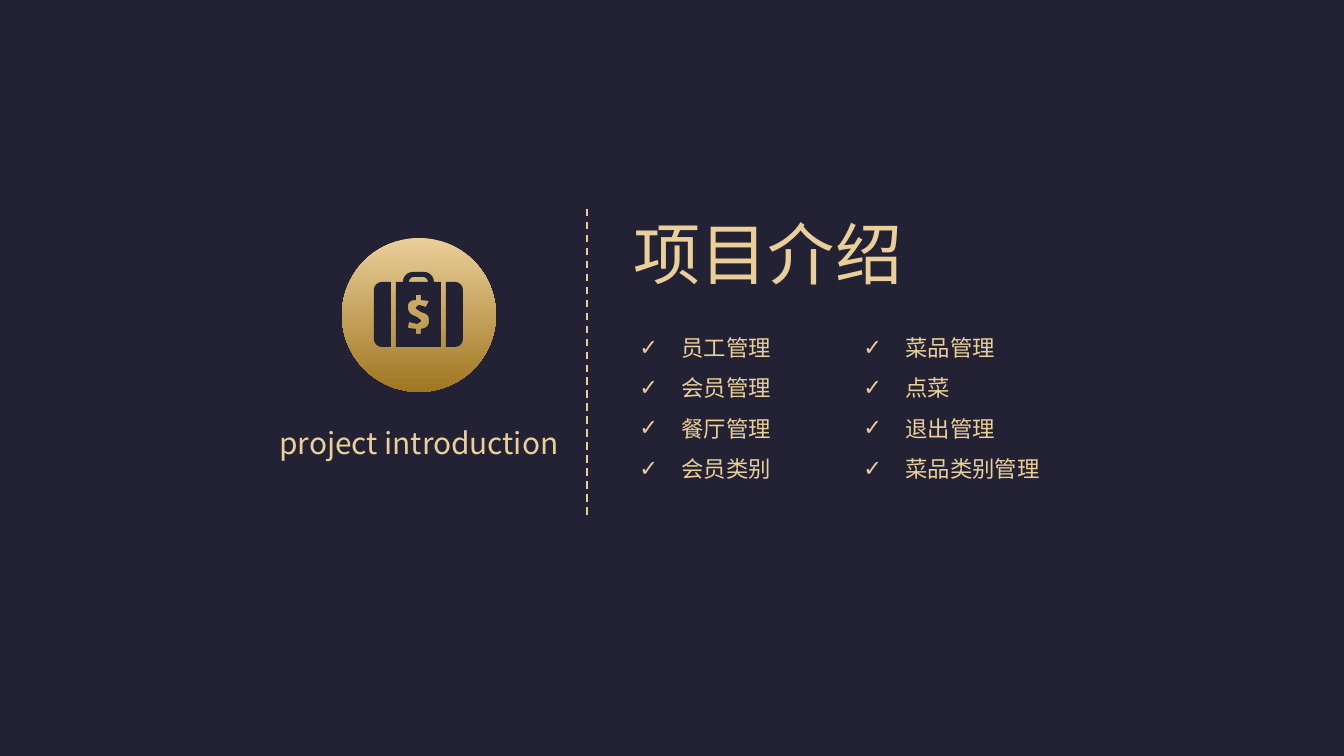
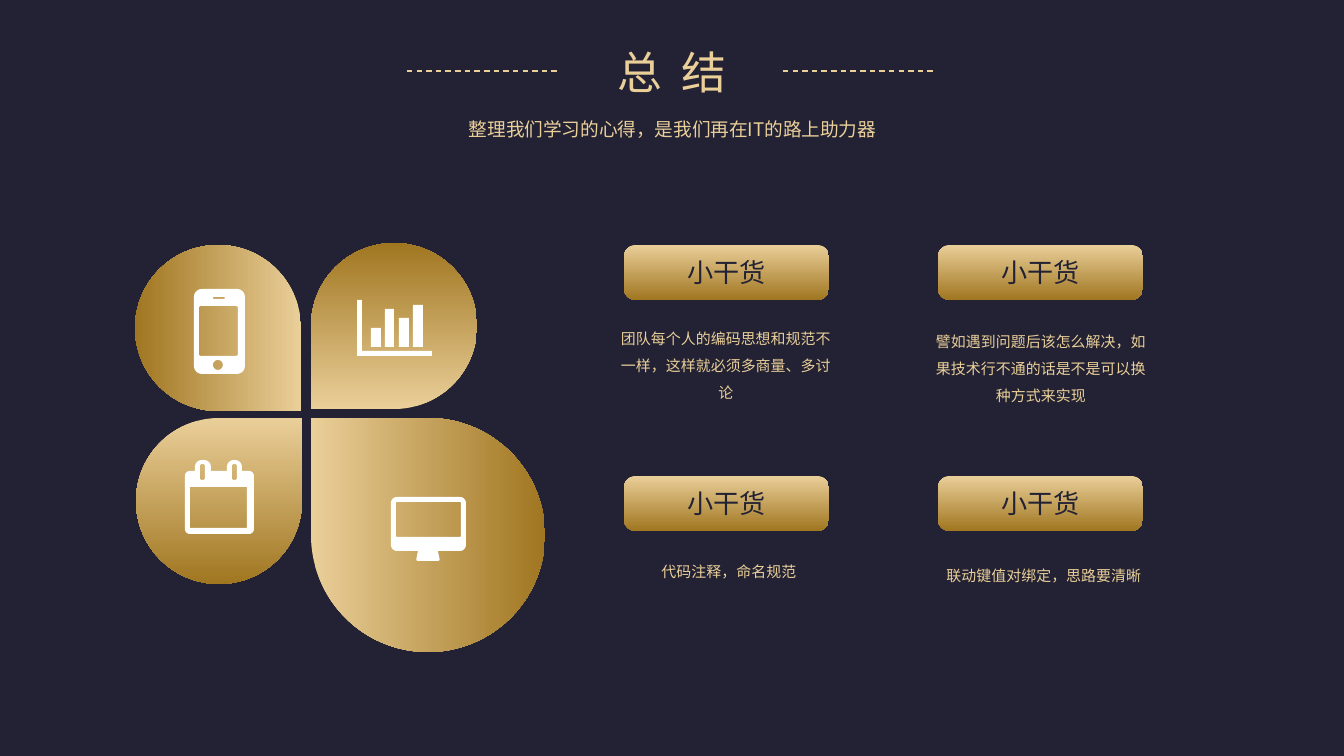
"""Build a two-slide dark and gold deck: project introduction and summary."""
from lxml import etree
from pptx import Presentation, util as u
from pptx.dml.color import RGBColor
from pptx.enum import dml, shapes, text
from pptx.oxml.ns import qn

PX = 914400 / 134.4
FONT = "Noto Sans CJK SC"
NAVY, WHITE, PALE = ["232234"], ["FFFFFF"], ["EACF99"]
GOLD = ["EACF99", "A07621"]
CENTER = text.PP_ALIGN.CENTER
SHAPE = shapes.MSO_SHAPE


def paint(fill, colours):
    """Fill with one colour, or with a top-to-bottom gradient of two."""
    if len(colours) == 1:
        fill.solid()
        fill.fore_color.rgb = RGBColor.from_string(colours[0])
        return
    fill.gradient()
    fill.gradient_angle = 270
    for stop, colour in zip(fill.gradient_stops, colours):
        stop.color.rgb = RGBColor.from_string(colour)


def write(sp, box, lines, size, colours=GOLD, frame=None, para=None, bullet=None, spacing=None):
    """Place a shape at a px box and fill it with formatted paragraphs."""
    for name, value in zip(("left", "top", "width", "height"), box):
        setattr(sp, name, round(value * PX))
    tf = sp.text_frame
    frame_format = {"word_wrap": True, "auto_size": text.MSO_AUTO_SIZE.NONE,
                    "vertical_anchor": text.MSO_ANCHOR.TOP, **(frame or {})}
    for name, value in frame_format.items():
        setattr(tf, name, value)
    para_format = {"alignment": text.PP_ALIGN.LEFT, "line_spacing": 1.0,
                   "space_before": u.Pt(0), "space_after": u.Pt(0), **(para or {})}
    for i, line in enumerate(lines):
        p = tf.paragraphs[0] if i == 0 else tf.add_paragraph()
        for name, value in para_format.items():
            setattr(p, name, value)
        if bullet:
            pPr = p._p.get_or_add_pPr()
            pPr.set("marL", str(round(42 * PX)))
            pPr.set("indent", str(round(-42 * PX)))
            clr = etree.SubElement(pPr, qn("a:buClr"))
            etree.SubElement(clr, qn("a:srgbClr"), val=PALE[0])
            etree.SubElement(pPr, qn("a:buChar"), char=bullet)
        r = p.add_run()
        r.text = line
        for name, value in {"size": u.Pt(size), "name": FONT, "bold": False}.items():
            setattr(r.font, name, value)
        paint(r.font.fill, colours)
        rPr = r._r.get_or_add_rPr()
        etree.SubElement(rPr, qn("a:ea"), typeface=FONT)
        if spacing:
            rPr.set("spc", str(spacing))


prs = Presentation()
prs.slide_width, prs.slide_height = round(1344 * PX), round(756 * PX)
paint(prs.slide_master.background.fill, NAVY)
intro = prs.slides.add_slide(prs.slide_layouts[3])
summary = prs.slides.add_slide(prs.slide_layouts[0])

write(intro.shapes.title, (620, 206, 298, 95), ["项目介绍"], 36, frame={"word_wrap": False})
modules = [
    (626, ["员工管理", "会员管理", "餐厅管理", "会员类别"]),
    (850, ["菜品管理", "点菜", "退出管理", "菜品类别管理"]),
]
for sp, (x, names) in zip(list(intro.placeholders)[1:], modules):
    write(sp, (x, 314, 214, 176), names, 12, para={"line_spacing": 1.5}, bullet="✓")

small = {"margin_left": u.Inches(0.07), "margin_right": u.Inches(0.07),
         "margin_top": u.Inches(0.04), "margin_bottom": u.Inches(0.04)}
write(intro.shapes.add_textbox(0, 0, 0, 0), (270, 419, 305, 46), ["project introduction"], 16,
      frame={**small, "word_wrap": False})

write(summary.shapes.title, (568, 38, 208, 67), ["总 结"], 24,
      para={"alignment": CENTER}, spacing=270)
write(summary.placeholders[1], (259, 107, 827, 38), ["整理我们学习的心得，是我们再在IT的路上助力器"], 10,
      para={"alignment": CENTER, "line_spacing": 1.2})

rules = [
    (intro, (587, 209, 587, 516), 1),
    (summary, (407, 71, 560, 71), 0.75),
    (summary, (783, 71, 936, 71), 0.75),
]
for s, ends, weight in rules:
    rule = s.shapes.add_connector(shapes.MSO_CONNECTOR.STRAIGHT, *(round(v * PX) for v in ends))
    paint(rule.line.fill, PALE)
    rule.line.width = u.Pt(weight)
    rule.line.dash_style = dml.MSO_LINE.DASH
    etree.SubElement(rule._element.spPr, qn("a:effectLst"))

badges = [
    (intro, SHAPE.OVAL, 342, 238, 154, 0),
    (summary, SHAPE.TEAR, 136, 418, 166, 0),
    (summary, SHAPE.TEAR, 311, 418, 234, 270),
    (summary, SHAPE.TEAR, 311, 243, 166, 180),
    (summary, SHAPE.TEAR, 135, 245, 166, 90),
]
for s, kind, x, y, side, turn in badges:
    sp = s.shapes.add_shape(kind, *(round(v * PX) for v in (x, y, side, side)))
    sp.rotation = turn
    sp.shadow.inherit = False
    sp.line.fill.background()
    paint(sp.fill, GOLD)

suitcase = [
    [(396, 282), (403, 282), (403, 272, 10), (434, 272, 10), (434, 282), (441, 282),
     (441, 347), (396, 347)],
    [(409, 282), (409, 277, 5), (428, 277, 5), (428, 282)],
    [(374, 282, 8), (391, 282), (391, 347), (374, 347, 8)],
    [(446, 282), (463, 282, 8), (463, 347, 8), (446, 347)],
    [(422, 321, 2), (417, 317), (408, 313, 5), (408, 301, 5), (416, 300), (416, 295),
     (421, 295), (421, 300), (429, 301), (426, 307), (419, 305), (415, 308, 2),
     (421, 312), (429, 315, 4), (429, 327, 5), (421, 329), (421, 334), (416, 334),
     (416, 329), (408, 328), (409, 322), (417, 324)],
]
calendar = [
    [(185, 471, 5), (195, 471), (195, 460, 7), (211, 460, 7), (211, 471), (227, 471),
     (227, 460, 7), (242, 460, 7), (242, 471), (254, 471, 5), (254, 534, 5), (185, 534, 5)],
    (190, 487, 247, 528, 0), (200, 464, 205, 480, 2), (232, 464, 237, 480, 2),
]
monitor = [
    (391, 497, 466, 551, 6), (396, 502, 461, 537, 1),
    [(418, 551), (438, 551), (440, 561, 2), (416, 561, 2)],
]
chart = [
    [(357, 300), (362, 300), (362, 351), (432, 351), (432, 356), (357, 356)],
    (371, 328, 381, 347, 0), (385, 309, 394, 347, 0),
    (399, 318, 409, 347, 0), (413, 305, 423, 347, 0),
]
phone = [
    (194, 289, 245, 374, 8), (199, 306, 238, 356, 2),
    (213, 297, 225, 299, 1), (213, 360, 223, 370, 5),
]
icons = [(intro, suitcase, NAVY)] + [(summary, i, WHITE) for i in (calendar, monitor, chart, phone)]
for s, contours, colours in icons:
    builder = None
    for contour in contours:
        if isinstance(contour, tuple):
            x0, y0, x1, y1, radius = contour
            contour = [(x0, y0, radius), (x1, y0, radius), (x1, y1, radius), (x0, y1, radius)]
        corners = [complex(x, y) for x, y, *_ in contour]
        points = []
        for i, (_, _, *radius) in enumerate(contour):
            c, before, after = corners[i], corners[i - 1], corners[(i + 1) % len(corners)]
            if not sum(radius):
                points.append(c)
                continue
            a = c + radius[0] * (before - c) / abs(before - c)
            b = c + radius[0] * (after - c) / abs(after - c)
            ca, cb = a + 0.55 * (c - a), b + 0.55 * (c - b)
            for t in (n / 6 for n in range(7)):
                points.append((1 - t) ** 3 * a + 3 * t * (1 - t) ** 2 * ca
                              + 3 * t ** 2 * (1 - t) * cb + t ** 3 * b)
        path = [(round(z.real * PX), round(z.imag * PX)) for z in points]
        if builder is None:
            builder = s.shapes.build_freeform(*path[0])
        else:
            builder.move_to(*path[0])
        builder.add_line_segments(path[1:], close=True)
    sp = builder.convert_to_shape()
    sp.shadow.inherit = False
    sp.line.fill.background()
    paint(sp.fill, colours)

tips = [
    ((607, 317, 238, 89), "团队每个人的编码思想和规范不一样，这样就必须多商量、多讨论"),
    ((922, 320, 238, 89), "譬如遇到问题后该怎么解决，如果技术行不通的话是不是可以换种方式来实现"),
    ((610, 550, 238, 34), "代码注释，命名规范"),
    ((925, 554, 238, 34), "联动键值对绑定，思路要清晰"),
]
sides = ("margin_left", "margin_right", "margin_top", "margin_bottom")
tight = dict(zip(sides, (u.Inches(v) for v in (0.05, 0.05, 0.03, 0.03))))
flush = {**dict.fromkeys(sides, 0), "vertical_anchor": text.MSO_ANCHOR.MIDDLE}
for i, (box, tip) in enumerate(tips):
    sp = summary.shapes.add_shape(SHAPE.ROUNDED_RECTANGLE, 0, 0, 0, 0)
    sp.adjustments[0] = 0.21
    sp.shadow.inherit = False
    sp.line.fill.background()
    paint(sp.fill, GOLD)
    write(sp, (624 + i % 2 * 314, 245 + i // 2 * 231, 205, 55), ["小干货"], 14, NAVY,
          frame=flush, para={"alignment": CENTER})
    write(summary.shapes.add_textbox(0, 0, 0, 0), box, [tip], 8, frame=tight,
          para={"alignment": CENTER, "line_spacing": 1.5})

prs.save("out.pptx")
